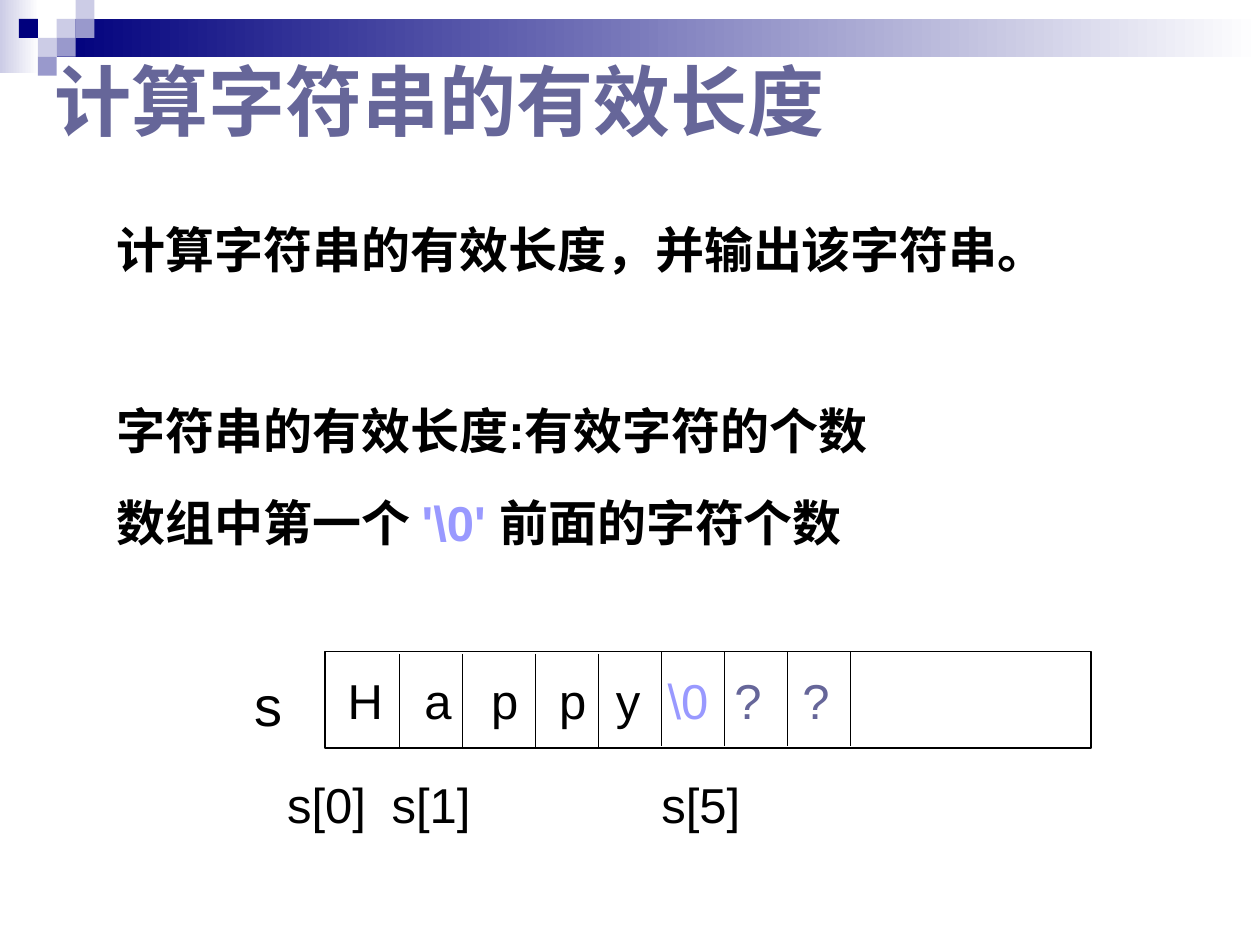
import dataclasses
import typing

import pptx
import pptx.dml.color
import pptx.enum.shapes
import pptx.enum.text
import pptx.oxml.ns
import pptx.util
from lxml import etree

Inches = pptx.util.Inches
Pt = pptx.util.Pt
qn = pptx.oxml.ns.qn

HUES = {
    "navy": "00007D", "mid": "9999CC", "pale": "CCCCE6", "white": "FFFFFF",
    "ink": "000000", "slate": "666699", "lilac": "9999FF",
}
STEP = 0.15


@dataclasses.dataclass
class Box:
    left: float
    top: float
    width: float
    height: float


@dataclasses.dataclass
class Piece:
    text: str
    hue: str = "ink"
    size: int = 28
    bold: bool = False
    font: str = "Arial"


@dataclasses.dataclass
class Square:
    col: int
    row: int
    hue: str


@dataclasses.dataclass
class Note:
    box: Box
    words: list[Piece]
    stops: tuple[float, ...] = ()


SQUARES = [
    Square(3, 1, "pale"), Square(4, 0, "pale"), Square(4, 1, "mid"),
    Square(2, 2, "pale"), Square(1, 1, "navy"), Square(3, 2, "mid"),
    Square(2, 3, "mid"),
]
FADES = [
    (Box(0, 0, 0.31, 0.58), "pale"),
    (Box(0.45, 0.15, 9.55, 0.3), "navy"),
]
# Each line of the body with the space before it
LINES = [
    (0, [Piece("计算字符串的有效长度，并输出该字符串。", bold=True)]),
    (62, [Piece("字符串的有效长度:有效字符的个数", bold=True)]),
    (10.5, [Piece("数组中第一个 ", bold=True),
            Piece("'\\0' ", "lilac", bold=True),
            Piece("前面的字符个数", bold=True)]),
]
NOTES = [
    Note(Box(2.08, 6.1, 3.92, 0.56), [Piece("\ts[0]\ts[1]\ts[5]")],
         (0.1, 0.93, 3.07)),
    Note(Box(1.92, 5.27, 0.58, 0.63), [Piece("s", size=32)]),
    Note(Box(2.58, 5.27, 4.92, 0.56),
         [Piece("\tH\ta\tp\tp\ty"), Piece("\t\\0", "lilac"),
          Piece("\t?\t?", "slate")],
         (0.08, 0.69, 1.22, 1.76, 2.21, 2.62, 3.15, 3.69)),
]
ARRAY = Box(2.58, 5.17, 6.08, 0.77)
# Cell borders grouped by their top edge
RULES = [(5.19, (3.17, 3.67, 4.25, 4.75)), (5.17, (5.25, 5.75, 6.25, 6.75))]


def tint(name: str) -> pptx.dml.color.RGBColor:
    return pptx.dml.color.RGBColor.from_string(HUES[name])


def span(box: Box) -> tuple[int, ...]:
    return tuple(Inches(n) for n in dataclasses.astuple(box))


def write(para: typing.Any, words: list[Piece]) -> None:
    for piece in words:
        run = para.add_run()
        run.text = piece.text
        run.font.name = piece.font
        run.font.size = Pt(piece.size)
        run.font.bold = piece.bold
        run.font.color.rgb = tint(piece.hue)


def add_rect(slide: typing.Any, box: Box) -> typing.Any:
    rect = slide.shapes.add_shape(
        pptx.enum.shapes.MSO_SHAPE.RECTANGLE, *span(box))
    rect.shadow.inherit = False
    return rect


def add_fade(slide: typing.Any, box: Box, hue: str) -> None:
    rect = add_rect(slide, box)
    rect.line.fill.background()
    rect.fill.gradient()
    rect.fill.gradient_angle = 0
    for stop, name in zip(rect.fill.gradient_stops, (hue, "white")):
        stop.color.rgb = tint(name)


def add_square(slide: typing.Any, square: Square) -> None:
    rect = add_rect(
        slide, Box(square.col * STEP, square.row * STEP, STEP, STEP))
    rect.line.fill.background()
    rect.fill.solid()
    rect.fill.fore_color.rgb = tint(square.hue)


def add_frame(slide: typing.Any, box: Box) -> typing.Any:
    frame = slide.shapes.add_textbox(*span(box)).text_frame
    frame.word_wrap = True
    return frame


def add_title(slide: typing.Any) -> None:
    title = slide.shapes.title
    title.left, title.top, title.width, title.height = span(
        Box(0.33, 0.17, 8.5, 1.25))
    frame = title.text_frame
    frame.auto_size = pptx.enum.text.MSO_AUTO_SIZE.NONE
    frame.vertical_anchor = pptx.enum.text.MSO_ANCHOR.MIDDLE
    para = frame.paragraphs[0]
    para.alignment = pptx.enum.text.PP_ALIGN.LEFT
    write(para, [Piece("计算", "slate", 44, True, "Times New Roman"),
                 Piece("字符串的有效长度", "slate", 44, True)])


def add_body(slide: typing.Any) -> None:
    frame = add_frame(slide, Box(0.33, 1.58, 9.25, 5))
    for i, (gap, words) in enumerate(LINES):
        para = frame.add_paragraph() if i else frame.paragraphs[0]
        props = para._p.get_or_add_pPr()
        props.set("marL", str(Inches(0.81)))
        props.set("indent", str(Inches(-0.31)))
        para.line_spacing = 1.24
        para.space_before = Pt(gap)
        write(para, words)


def add_note(slide: typing.Any, note: Note) -> None:
    frame = add_frame(slide, note.box)
    frame.auto_size = pptx.enum.text.MSO_AUTO_SIZE.SHAPE_TO_FIT_TEXT
    para = frame.paragraphs[0]
    if note.stops:
        tabs = etree.SubElement(para._p.get_or_add_pPr(), qn("a:tabLst"))
        for stop in note.stops:
            etree.SubElement(tabs, qn("a:tab"), pos=str(Inches(stop)),
                             algn="l")
    write(para, note.words)


def add_rule(slide: typing.Any, x: float, top: float) -> None:
    rule = slide.shapes.add_connector(
        pptx.enum.shapes.MSO_CONNECTOR.STRAIGHT,
        Inches(x), Inches(top), Inches(x), Inches(top + 0.75))
    rule.line.color.rgb = tint("ink")
    rule.line.width = Pt(1)
    etree.SubElement(rule._element.spPr, qn("a:effectLst"))


def add_array(slide: typing.Any) -> None:
    rect = add_rect(slide, ARRAY)
    rect.fill.background()
    rect.line.color.rgb = tint("ink")
    rect.line.width = Pt(1)
    for top, places in RULES:
        for x in places:
            add_rule(slide, x, top)


def main() -> None:
    deck = pptx.Presentation()
    deck.slide_width, deck.slide_height = Inches(10), Inches(7.5)
    slide = deck.slides.add_slide(deck.slide_layouts[5])
    for box, hue in FADES:
        add_fade(slide, box, hue)
    for square in SQUARES:
        add_square(slide, square)
    add_body(slide)
    add_title(slide)
    add_array(slide)
    for note in NOTES:
        add_note(slide, note)
    deck.save("out.pptx")


if __name__ == "__main__":
    main()
